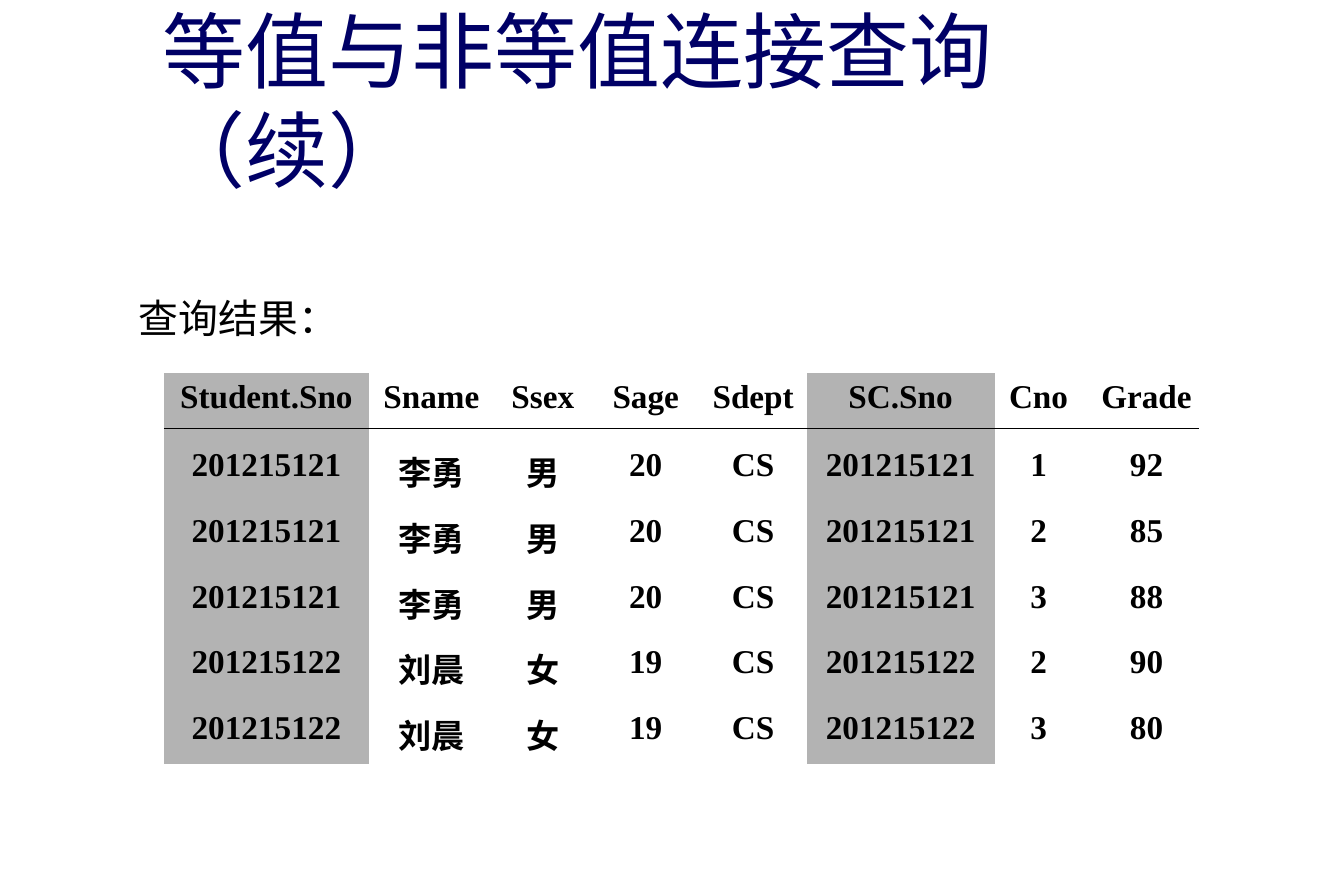
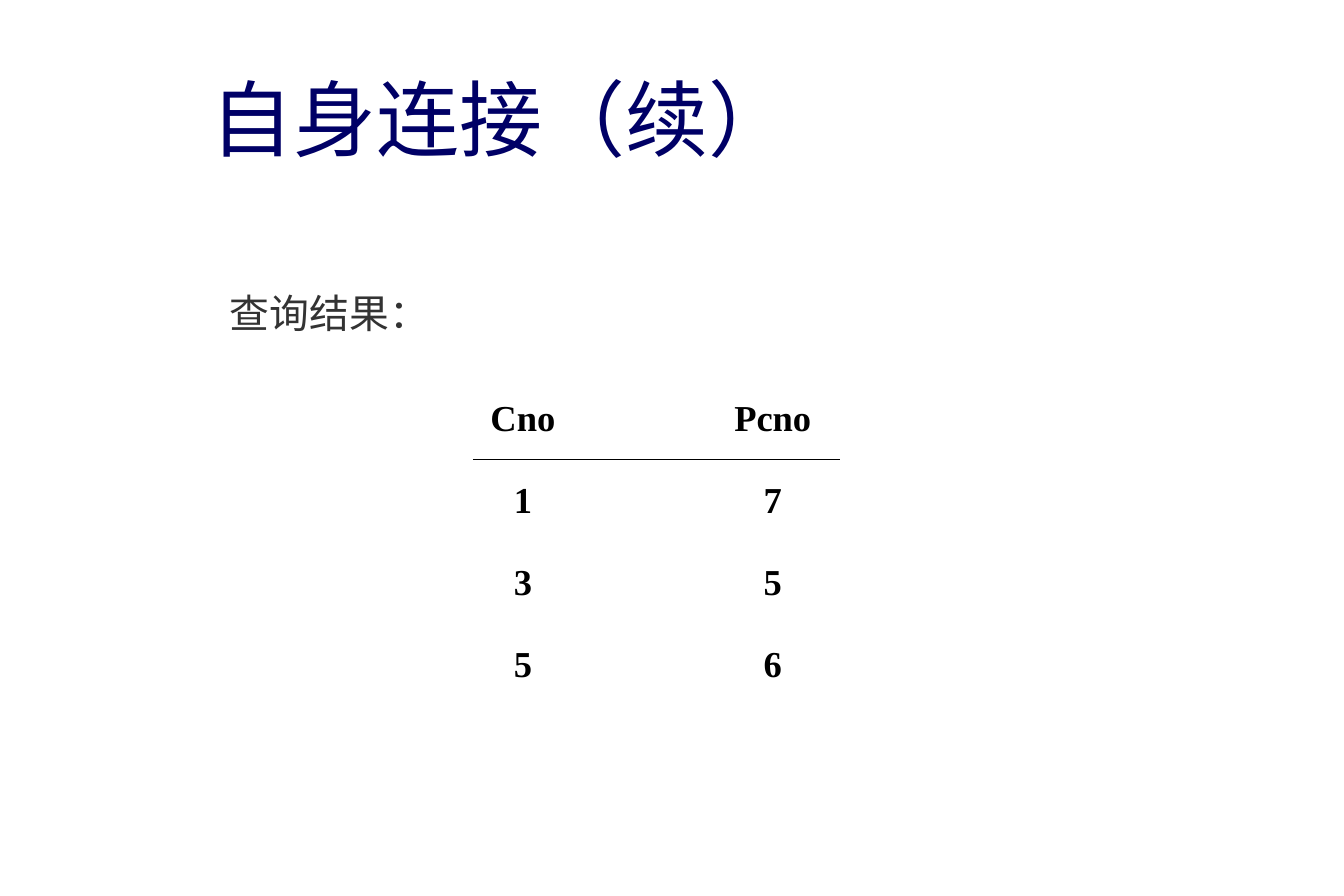
from dataclasses import dataclass

from lxml.etree import SubElement
from pptx import Presentation
from pptx.dml.color import RGBColor
from pptx.enum.shapes import MSO_CONNECTOR
from pptx.enum.text import MSO_ANCHOR, PP_ALIGN
from pptx.oxml.ns import qn
from pptx.slide import Slide
from pptx.util import Emu, Inches, Pt

PIXELS_PER_INCH = 119.5
NAVY, BLACK, CHARCOAL, GRAY = "000066", "000000", "333333", "B3B3B3"
PLAIN_TABLE_STYLE = "{2D5ABB26-0587-4C30-8999-92F81FD0307C}"
HANGING_INDENT = 45
RESULT_LABEL = "查询结果："


@dataclass(frozen=True)
class TextStyle:
    """Typeface, size and colour of a text."""
    latin: str
    east_asian: str
    size: int
    color: str
    bold: bool = False


@dataclass(frozen=True)
class TextBox:
    """A text with its pixel frame and insets."""
    text: str
    frame: tuple[int, int, int, int]
    style: TextStyle
    insets: tuple[int, int] = (22, 11)
    anchor: MSO_ANCHOR = MSO_ANCHOR.TOP
    wrap: bool = True


@dataclass(frozen=True)
class ResultTable:
    """A query result with the rule below its header."""
    origin: tuple[int, int]
    columns: list[int]
    row_heights: list[int]
    rows: list[tuple[str, ...]]
    style: TextStyle
    rule: tuple[int, int, int]
    shaded: tuple[int, ...] = ()


TITLE = TextStyle("Lato", "Lato", 50, NAVY)
BODY = TextStyle("Lato", "Lato", 24, CHARCOAL)
LABEL = TextStyle("Noto Sans CJK SC", "Noto Sans CJK SC", 24, BLACK)
CELL = TextStyle("Times New Roman", "Noto Sans CJK SC", 20, BLACK, True)
LARGE_CELL = TextStyle("Times New Roman", "Noto Sans CJK SC", 22, BLACK, True)


def px(pixels: int) -> Emu:
    """Turn pixels into EMU."""
    return Emu(round(pixels * 914400 / PIXELS_PER_INCH))


def rgb(color: str) -> RGBColor:
    """Turn a hex string into a colour."""
    return RGBColor.from_string(color)


def set_all(target: object, values: dict[str, object]) -> None:
    """Set several attributes of one object."""
    for name, value in values.items():
        setattr(target, name, value)


def write(paragraph, text: str, style: TextStyle) -> None:
    """Add a styled run to a paragraph."""
    run = paragraph.add_run()
    run.text = text
    set_all(run.font, {"name": style.latin, "size": Pt(style.size), "bold": style.bold})
    run.font.color.rgb = rgb(style.color)
    SubElement(run.font._element, qn("a:ea"), typeface=style.east_asian)


def draw_text(slide: Slide, box: TextBox) -> None:
    """Draw a left-aligned text box."""
    frame = slide.shapes.add_textbox(*map(px, box.frame)).text_frame
    side, edge = map(px, box.insets)
    set_all(frame, {"word_wrap": box.wrap, "vertical_anchor": box.anchor,
                    "margin_left": side, "margin_right": side,
                    "margin_top": edge, "margin_bottom": edge})
    paragraph = frame.paragraphs[0]
    paragraph.alignment = PP_ALIGN.LEFT
    write(paragraph, box.text, box.style)


def draw_rule(slide: Slide, left: int, right: int, top: int) -> None:
    """Draw a thin horizontal rule without shadow."""
    rule = slide.shapes.add_connector(
        MSO_CONNECTOR.STRAIGHT, px(left), px(top), px(right), px(top))
    rule.line.color.rgb = rgb(BLACK)
    rule.line.width = Pt(0.75)
    SubElement(rule._element.spPr, qn("a:effectLst"))


def draw_table(slide: Slide, result: ResultTable) -> None:
    """Draw a result table and its header rule."""
    frame = slide.shapes.add_table(
        len(result.rows), len(result.columns), *map(px, result.origin),
        px(sum(result.columns)), px(sum(result.row_heights)))
    table = frame.table
    set_all(table, {"first_row": False, "horz_banding": False})
    table._tbl.tblPr.find(qn("a:tableStyleId")).text = PLAIN_TABLE_STYLE
    for column, width in zip(table.columns, result.columns):
        column.width = px(width)
    for row, height, values in zip(table.rows, result.row_heights, result.rows):
        row.height = px(height)
        for index, (cell, value) in enumerate(zip(row.cells, values)):
            if index in result.shaded:
                cell.fill.solid()
                cell.fill.fore_color.rgb = rgb(GRAY)
            else:
                cell.fill.background()
            paragraph = cell.text_frame.paragraphs[0]
            paragraph.alignment = PP_ALIGN.CENTER
            properties = paragraph._p.get_or_add_pPr()
            properties.set("marL", str(px(HANGING_INDENT)))
            properties.set("indent", str(-px(HANGING_INDENT)))
            write(paragraph, value, result.style)
    draw_rule(slide, *result.rule)


LI_YONG = ("201215121", "李勇", "男", "20", "CS", "201215121")
LIU_CHEN = ("201215122", "刘晨", "女", "19", "CS", "201215122")

JOIN_RESULT = ResultTable(
    origin=(164, 373),
    columns=[205, 125, 98, 108, 107, 188, 88, 128],
    row_heights=[68, 66, 66, 65, 66, 60],
    rows=[
        ("Student.Sno", "Sname", "Ssex", "Sage", "Sdept", "SC.Sno", "Cno", "Grade"),
        (*LI_YONG, "1", "92"),
        (*LI_YONG, "2", "85"),
        (*LI_YONG, "3", "88"),
        (*LIU_CHEN, "2", "90"),
        (*LIU_CHEN, "3", "80"),
    ],
    style=CELL, rule=(164, 1199, 429), shaded=(0, 5))

SELF_JOIN_RESULT = ResultTable(
    origin=(398, 393), columns=[250] * 2, row_heights=[82] * 4,
    rows=[("Cno", "Pcno"), ("1", "7"), ("3", "5"), ("5", "6")],
    style=LARGE_CELL, rule=(473, 840, 460))

SLIDES = [
    (TextBox("等值与非等值连接查询（续）", (141, 62, 1064, 74), TITLE,
             anchor=MSO_ANCHOR.MIDDLE),
     TextBox(RESULT_LABEL, (127, 288, 226, 60), LABEL, insets=(12, 6), wrap=False),
     JOIN_RESULT),
    (TextBox("自身连接（续）", (189, 81, 966, 73), TITLE, anchor=MSO_ANCHOR.MIDDLE),
     TextBox(RESULT_LABEL, (208, 278, 528, 78), BODY),
     SELF_JOIN_RESULT),
]


def main() -> None:
    """Build and save the presentation."""
    presentation = Presentation()
    set_all(presentation, {"slide_width": Inches(11.25), "slide_height": Inches(7.5)})
    for title, label, result in SLIDES:
        slide = presentation.slides.add_slide(presentation.slide_layouts[6])
        draw_text(slide, title)
        draw_text(slide, label)
        draw_table(slide, result)
    presentation.save("out.pptx")


main()
